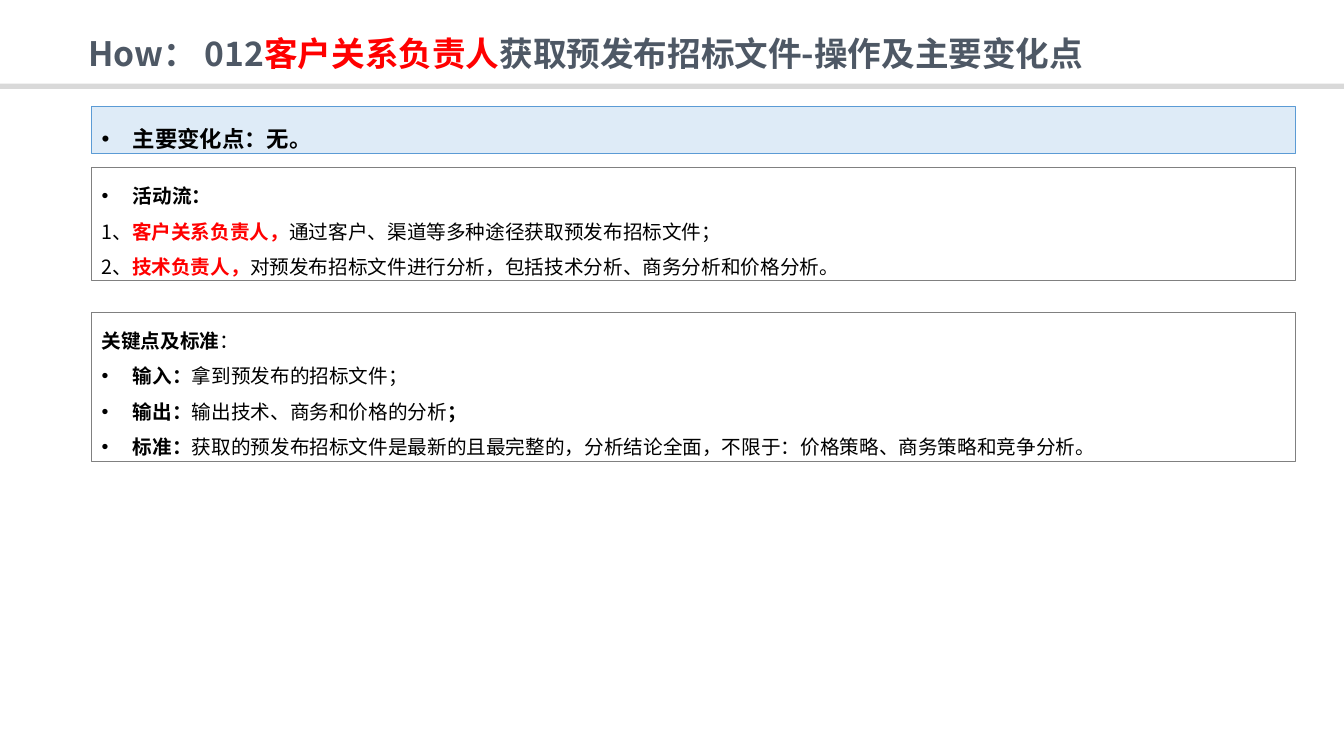
"""Build the slide on getting pre-release tender documents."""
import pptx
import pptx.util
import pptx.dml.color
import pptx.enum.shapes
import pptx.enum.text
import pptx.oxml.ns
import lxml.etree

Cm, Pt = pptx.util.Cm, pptx.util.Pt
FONT = "Noto Sans CJK SC"
INK = {"slate": "4E5865", "red": "FF0000", "black": "000000", "rule": "D9D9D9",
       "pale": "DEEBF7", "blue": "5B9BD5", "gray": "808080"}


def tint(name):
    return pptx.dml.color.RGBColor.from_string(INK[name])


def write(para, runs, size, space, dot=False):
    para.alignment = pptx.enum.text.PP_ALIGN.LEFT
    para.line_spacing = space
    if dot:
        props = para._p.get_or_add_pPr()
        props.set("marL", str(Cm(0.79)))
        props.set("indent", str(-Cm(0.79)))
        lxml.etree.SubElement(props, pptx.oxml.ns.qn("a:buFont"), typeface="Arial")
        lxml.etree.SubElement(props, pptx.oxml.ns.qn("a:buChar"), char="•")
    for text, color, bold in runs:
        run = para.add_run()
        run.text = text
        run.font.size = Pt(size)
        run.font.name = FONT
        run.font.bold = bold
        run.font.color.rgb = tint(color)
        lxml.etree.SubElement(run._r.rPr, pptx.oxml.ns.qn("a:ea"), typeface=FONT)


deck = pptx.Presentation()
deck.slide_width, deck.slide_height = Cm(33.87), Cm(19.05)
slide = deck.slides.add_slide(deck.slide_layouts[6])
RECT = pptx.enum.shapes.MSO_SHAPE.RECTANGLE

rule = slide.shapes.add_shape(RECT, 0, Cm(2.11), deck.slide_width, Cm(0.13))
rule.shadow.inherit = False
rule.fill.solid()
rule.fill.fore_color.rgb = tint("rule")
rule.line.fill.background()

title = slide.shapes.add_textbox(Cm(1.98), Cm(0.79), Cm(31.88), Cm(1.19)).text_frame
title.word_wrap = True
title.vertical_anchor = pptx.enum.text.MSO_ANCHOR.BOTTOM
write(title.paragraphs[0], [
    ("How： 012", "slate", True),
    ("客户关系负责人", "red", True),
    ("获取预发布招标文件-操作及主要变化点", "slate", True),
], 24, 0.9)

panels = [
    (2.69, 1.17, "pale", "blue", 16, [
        (True, [("主要变化点：无。", "black", True)]),
    ]),
    (4.22, 2.84, None, "gray", 14, [
        (True, [("活动流：", "black", True)]),
        (False, [("1、", "black", False), ("客户关系负责人，", "red", True),
                 ("通过客户、渠道等多种途径获取预发布招标文件；", "black", False)]),
        (False, [("2、", "black", False), ("技术负责人，", "red", True),
                 ("对预发布招标文件进行分析，包括技术分析、商务分析和价格分析。", "black", False)]),
    ]),
    (7.87, 3.76, None, "gray", 14, [
        (False, [("关键点及标准", "black", True), ("：", "black", False)]),
        (True, [("输入：", "black", True), ("拿到预发布的招标文件；", "black", False)]),
        (True, [("输出：", "black", True), ("输出技术、商务和价格的分析", "black", False),
                ("；", "black", True)]),
        (True, [("标准：", "black", True),
                ("获取的预发布招标文件是最新的且最完整的，分析结论全面，不限于："
                 "价格策略、商务策略和竞争分析。", "black", False)]),
    ]),
]
for top, high, fill, edge, size, lines in panels:
    panel = slide.shapes.add_shape(RECT, Cm(2.31), Cm(top), Cm(30.33), Cm(high))
    panel.shadow.inherit = False
    if fill:
        panel.fill.solid()
        panel.fill.fore_color.rgb = tint(fill)
    else:
        panel.fill.background()
    panel.line.color.rgb = tint(edge)
    panel.line.width = Pt(0.75)
    frame = panel.text_frame
    frame.word_wrap = True
    frame.auto_size = pptx.enum.text.MSO_AUTO_SIZE.SHAPE_TO_FIT_TEXT
    frame.vertical_anchor = pptx.enum.text.MSO_ANCHOR.TOP
    for spot, (dot, runs) in enumerate(lines):
        para = frame.add_paragraph() if spot else frame.paragraphs[0]
        write(para, runs, size, 1.5, dot)

deck.save("out.pptx")
